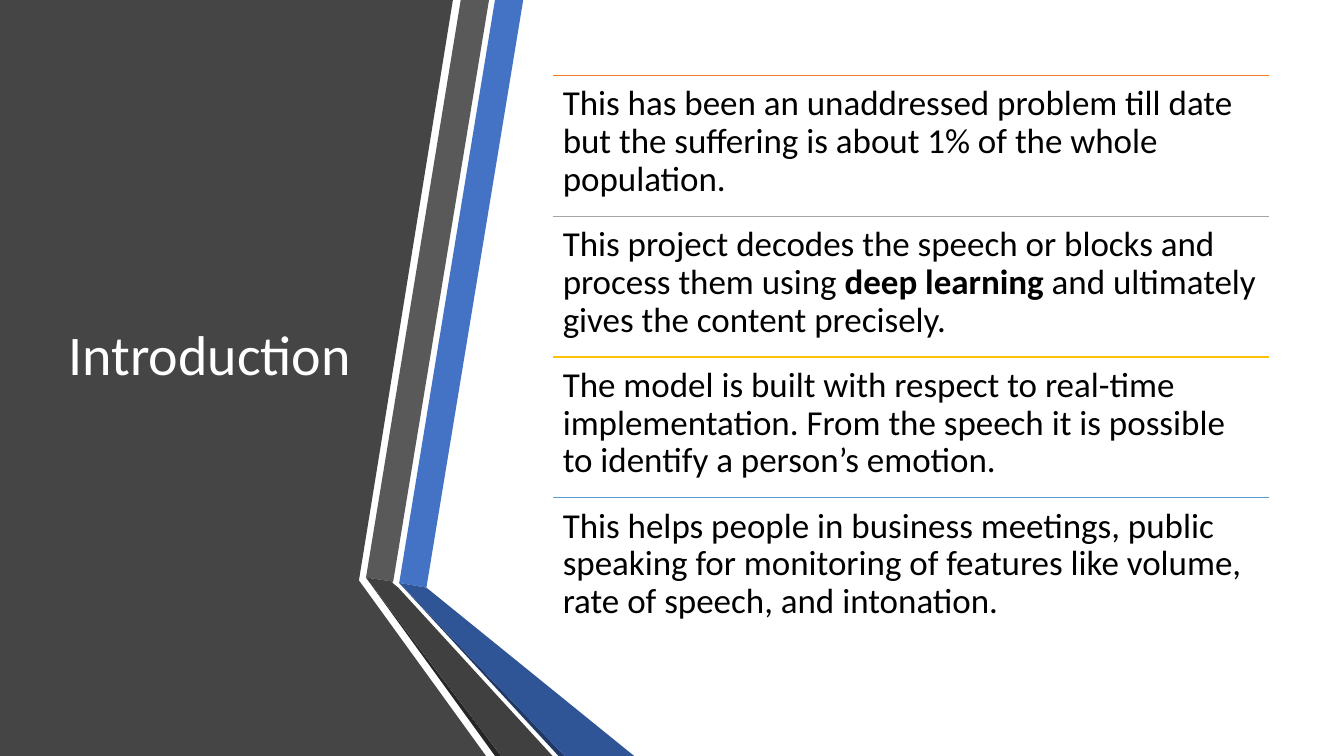
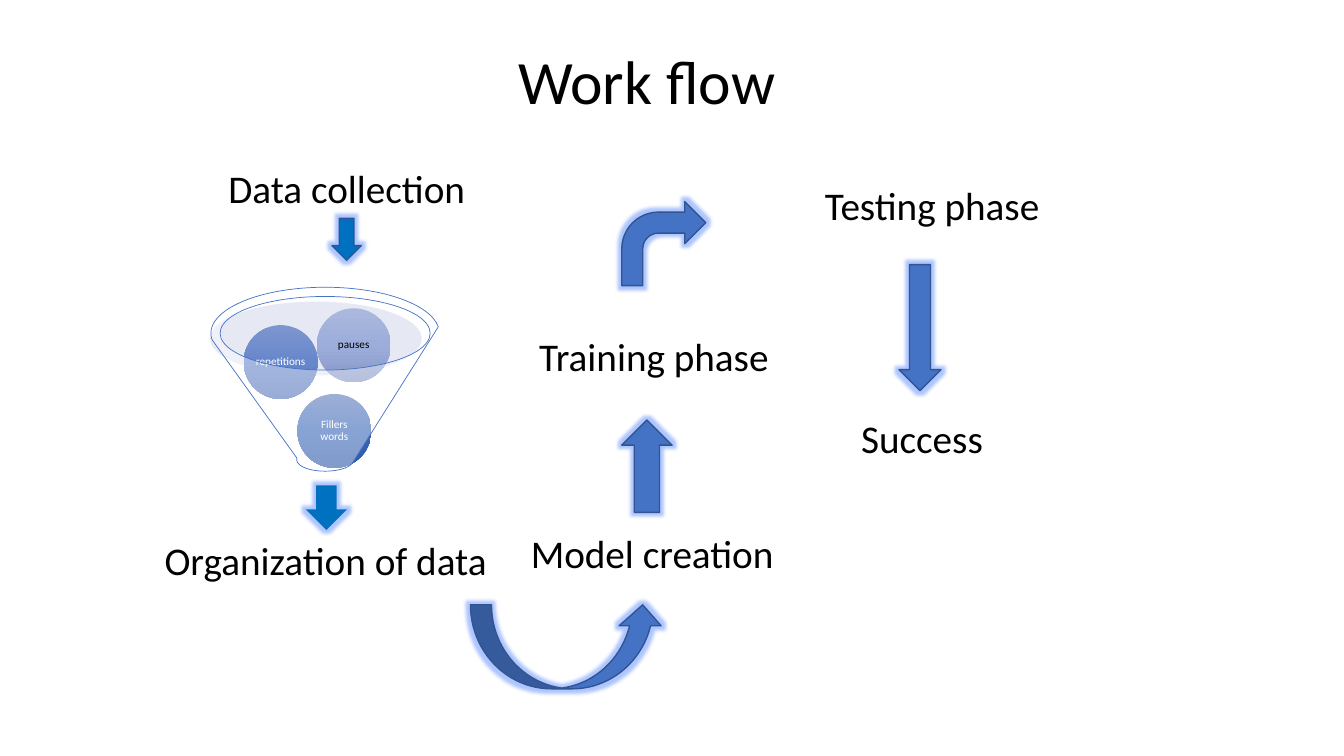
from copy import deepcopy

from lxml import etree
from pptx import Presentation
from pptx.dml.color import RGBColor
from pptx.enum.shapes import MSO_CONNECTOR, MSO_SHAPE
from pptx.enum.text import MSO_ANCHOR, PP_ALIGN
from pptx.oxml.ns import qn
from pptx.util import Inches, Pt

LINE = MSO_CONNECTOR.STRAIGHT
OVAL, FUNNEL = MSO_SHAPE.OVAL, MSO_SHAPE.FUNNEL
DOWN, UP = MSO_SHAPE.DOWN_ARROW, MSO_SHAPE.UP_ARROW
CURVE, BENT = MSO_SHAPE.CURVED_UP_ARROW, MSO_SHAPE.BENT_ARROW
TOP, MID = MSO_ANCHOR.TOP, MSO_ANCHOR.MIDDLE
LEFT, MIDDLE = PP_ALIGN.LEFT, PP_ALIGN.CENTER

FONT = "Calibri"
BLACK, WHITE = RGBColor(0, 0, 0), RGBColor(255, 255, 255)
COAL = RGBColor(0x45, 0x45, 0x45)
GREY = RGBColor(0x59, 0x59, 0x59)
DARK = RGBColor(0x40, 0x40, 0x40)
SOOT = RGBColor(0x26, 0x26, 0x26)
BLUE = RGBColor(0x44, 0x72, 0xC4)
DEEP = RGBColor(0x2F, 0x55, 0x97)
NAVY = RGBColor(0x20, 0x38, 0x64)
EDGE = RGBColor(0x32, 0x54, 0x91)
SKY = RGBColor(0x00, 0x70, 0xC0)
MIST = RGBColor(0xC1, 0xC9, 0xE4)
GLOW = RGBColor(0x34, 0x70, 0xFF)
RULES = [RGBColor(0xED, 0x7D, 0x31), RGBColor(0xA5, 0xA5, 0xA5),
         RGBColor(0xFF, 0xC0, 0x00), RGBColor(0x5B, 0x9B, 0xD5)]

# Slide grid: 160 columns by 90 rows of square cells
COLS, ROWS = 160, 90
WIDE, HIGH = Inches(13.33), Inches(7.5)
CELL = HIGH / ROWS


def cells(*nums):
    return [round(n * CELL) for n in nums]


def shift(box, part):
    """Move a part into the box whose left and top it counts from."""
    return (box[0] + part[0], box[1] + part[1], *part[2:])


def style(item, vals):
    for key, val in vals.items():
        setattr(item, key, val)


def text(slide, box, runs, size, color=BLACK, align=LEFT, anchor=TOP,
         inset=0.1, space=1.0):
    frame = slide.shapes.add_textbox(*cells(*box)).text_frame
    style(frame, {"word_wrap": True, "vertical_anchor": anchor,
                  "margin_left": Inches(inset), "margin_right": Inches(inset),
                  "margin_top": Inches(inset / 2 if space == 1 else inset),
                  "margin_bottom": Inches(inset / 2 if space == 1 else inset)})
    par = frame.paragraphs[0]
    style(par, {"alignment": align, "line_spacing": space})
    for num, words in enumerate(runs):
        run = par.add_run()
        run.text = words
        style(run.font, {"name": FONT, "size": Pt(size), "bold": num % 2 == 1})
        run.font.color.rgb = color


def paint(shape, fill, line=None, width=1, alpha=None):
    shape.shadow.inherit = False
    shape.fill.solid()
    shape.fill.fore_color.rgb = fill
    if alpha:
        tone = shape.fill._xPr.find(".//" + qn("a:srgbClr"))
        etree.SubElement(tone, qn("a:alpha"), val=str(alpha * 1000))
    if line is None:
        shape.line.fill.background()
    else:
        shape.line.color.rgb = line
        shape.line.width = Pt(width)


def form(slide, kind, box, fill, **look):
    shape = slide.shapes.add_shape(kind, *cells(*box))
    paint(shape, fill, **look)
    return shape


def arrow(slide, kind, box, fill=BLUE, line=EDGE):
    """Block arrow with a soft glow."""
    shape = form(slide, kind, box, fill, line=line)
    fx = shape._element.spPr.find(qn("a:effectLst"))
    glow = etree.SubElement(fx, qn("a:glow"), rad=str(Pt(5)))
    tone = etree.SubElement(glow, qn("a:srgbClr"), val=str(GLOW))
    etree.SubElement(tone, qn("a:alpha"), val="40000")


def ball(slide, box, words, tones, color):
    """Shaded ball with a small label."""
    shape = form(slide, OVAL, box, BLUE)
    shape.fill.gradient()
    shape.fill.gradient_angle = 270
    stops = shape._element.spPr.find(".//" + qn("a:gsLst"))
    stops.insert(1, deepcopy(stops[0]))
    for num, stop in enumerate(shape.fill.gradient_stops):
        stop.position = num / 2
        stop.color.rgb = RGBColor.from_string(tones[num])
    x, y, w, h = box
    text(slide, (x + w / 7, y + h / 7, w * 5 / 7, h * 5 / 7), [words], 8,
         color, MIDDLE, MID, 0.01, 0.9)


def panel(slide, box):
    """Dark side panel with two folded ribbons."""
    base = box[3]
    inner, outer = (43.56, 68.76), (46.8, 69.24)
    left, right = (47.52, 69.4), (50.76, 69.96)
    dark, blue = (59.64, base), (67.2, base)
    bands = [
        (COAL, [(0, 0), (53.9, 0), (42.72, 69.1), (57.84, base), (0, base)]),
        (BLUE, [left, right, (62.28, 0), (58.92, 0)]),
        (GREY, [(58.2, 0), (54.84, 0), inner, outer]),
        (SOOT, [inner, (58.92, base), dark]),
        (NAVY, [left, (66.48, base), blue]),
        (DEEP, [left, blue, (75.48, base), right]),
        (DARK, [inner, dark, (65.76, base), (47.4, 69.96), (46.68, 69.36),
                outer]),
    ]
    for fill, spots in bands:
        spots = [cells(*shift(box, spot)) for spot in spots]
        pen = slide.shapes.build_freeform(*spots[0], scale=1.0)
        pen.add_line_segments(spots[1:], close=True)
        paint(pen.convert_to_shape(), fill)


def points(slide, box, items):
    """Equal rows of text, each under its own coloured rule."""
    x, y, w, h = box
    step = h / len(items)
    for num, (runs, color) in enumerate(zip(items, RULES)):
        top = y + num * step
        rule = slide.shapes.add_connector(LINE, *cells(x, top, x + w, top))
        rule.line.color.rgb = color
        rule.line.width = Pt(1)
        etree.SubElement(rule._element.spPr, qn("a:effectLst"))
        text(slide, (x, top, w, step), runs, 25, space=0.9)


def funnel(slide, box):
    """Funnel with three balls, an arrow and the result below."""
    form(slide, OVAL, shift(box, (-0.1, 1.7, 25.2, 8.8)), MIST, alpha=40)
    arrow(slide, DOWN, shift(box, (11.3, 23.6, 4.9, 5.3)), SKY, None)
    text(slide, shift(box, (-8.9, 29.9, 45.1, 5.9)), ["Organization of data"],
         28, align=MIDDLE, anchor=MID, inset=0.22, space=0.9)
    balls = [
        (10.3, 12.7, "Fillers words", ("5C7ABD", "3866B8", "2D59A8"), WHITE),
        (3.9, 4.5, "repetitions", ("7E96CE", "6787CC", "5676BB"), WHITE),
        (12.6, 2.5, "pauses", ("ABB8DD", "9CADDB", "8798C6"), BLACK),
    ]
    for x, y, words, tones, color in balls:
        ball(slide, shift(box, (x, y, 8.8, 8.8)), words, tones, color)
    form(slide, FUNNEL, box, WHITE, line=BLUE, width=0.5, alpha=40)


def intro(slide):
    panel(slide, (0, 0, COLS, ROWS))
    points(slide, (65.8, 9, 85.2, 67), [
        ["This has been an unaddressed problem till date but the suffering "
         "is about 1% of the whole population."],
        ["This project decodes the speech or blocks and process them using ",
         "deep learning", " and ultimately gives the content precisely."],
        ["The model is built with respect to real-time implementation. From "
         "the speech it is possible to identify a person’s emotion."],
        ["This helps people in business meetings, public speaking for "
         "monitoring of features like volume, rate of speech, and "
         "intonation."],
    ])
    text(slide, (7, 9, 36.5, 67), ["Introduction"], 40, WHITE, anchor=MID,
         space=0.9)


def flow(slide):
    funnel(slide, (25.1, 34.2, 27.2, 21.9))
    text(slide, (47, 4.5, 60, 10), ["Work flow"], 44, align=MIDDLE)
    # Stage names
    for x, y, w, words in [(26, 19, 42, "Data collection"),
                           (62, 62.4, 46, "Model creation"),
                           (63, 39, 30.5, "Training phase"),
                           (97, 21, 31, "Testing phase"),
                           (101.3, 48.7, 26, "Success")]:
        text(slide, (x, y, w, 7), [words], 28)
    # Arrows between stages
    arrow(slide, DOWN, (39.5, 26, 3.5, 5), SKY)
    for kind, box in [(CURVE, (56, 72, 23, 10)), (UP, (74, 50, 6, 11)),
                      (BENT, (74, 24, 10, 10)), (DOWN, (107, 31.5, 5, 15))]:
        arrow(slide, kind, box)


def main():
    deck = Presentation()
    style(deck, {"slide_width": WIDE, "slide_height": HIGH})
    for build in (intro, flow):
        build(deck.slides.add_slide(deck.slide_layouts[6]))
    deck.save("out.pptx")


if __name__ == "__main__":
    main()
